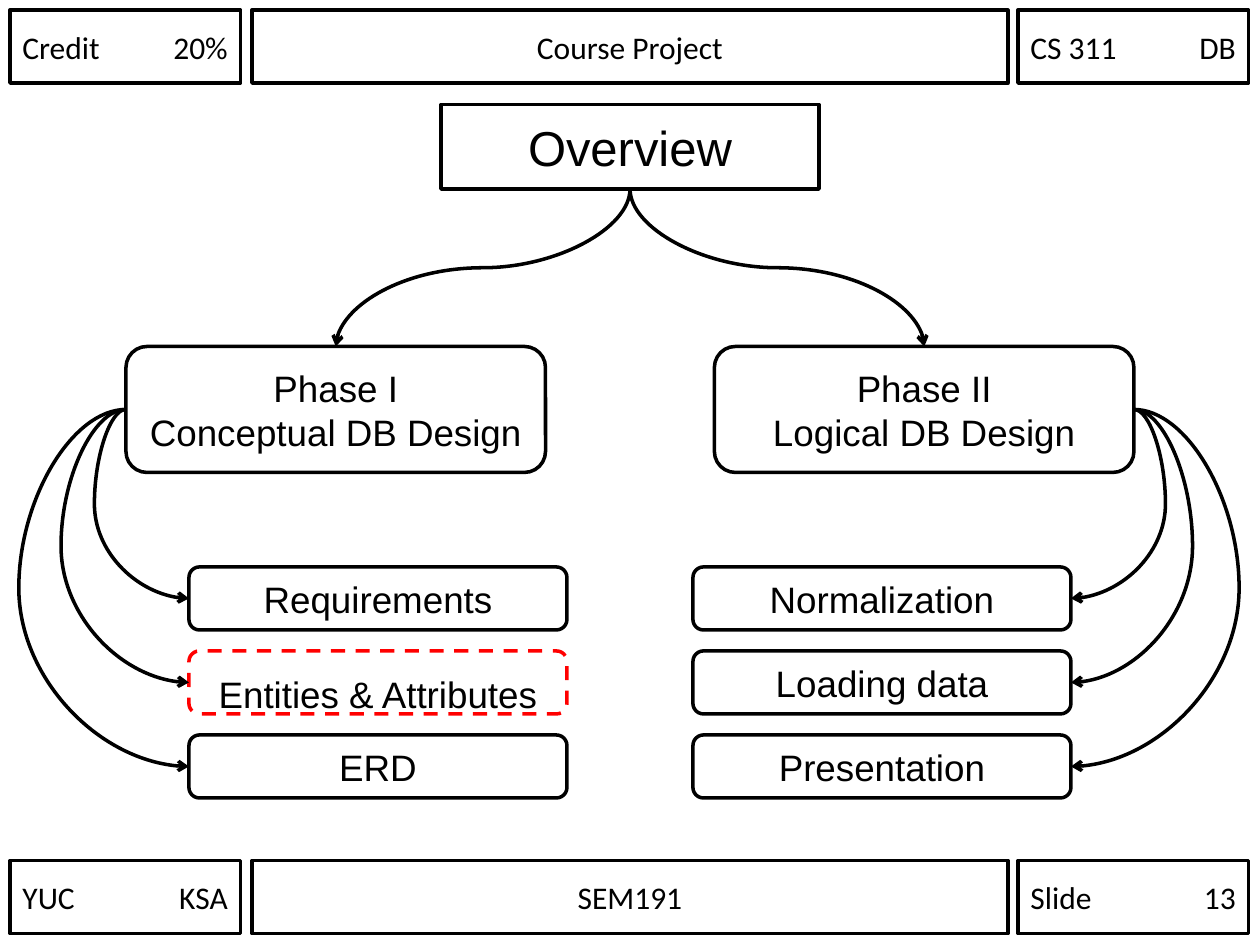
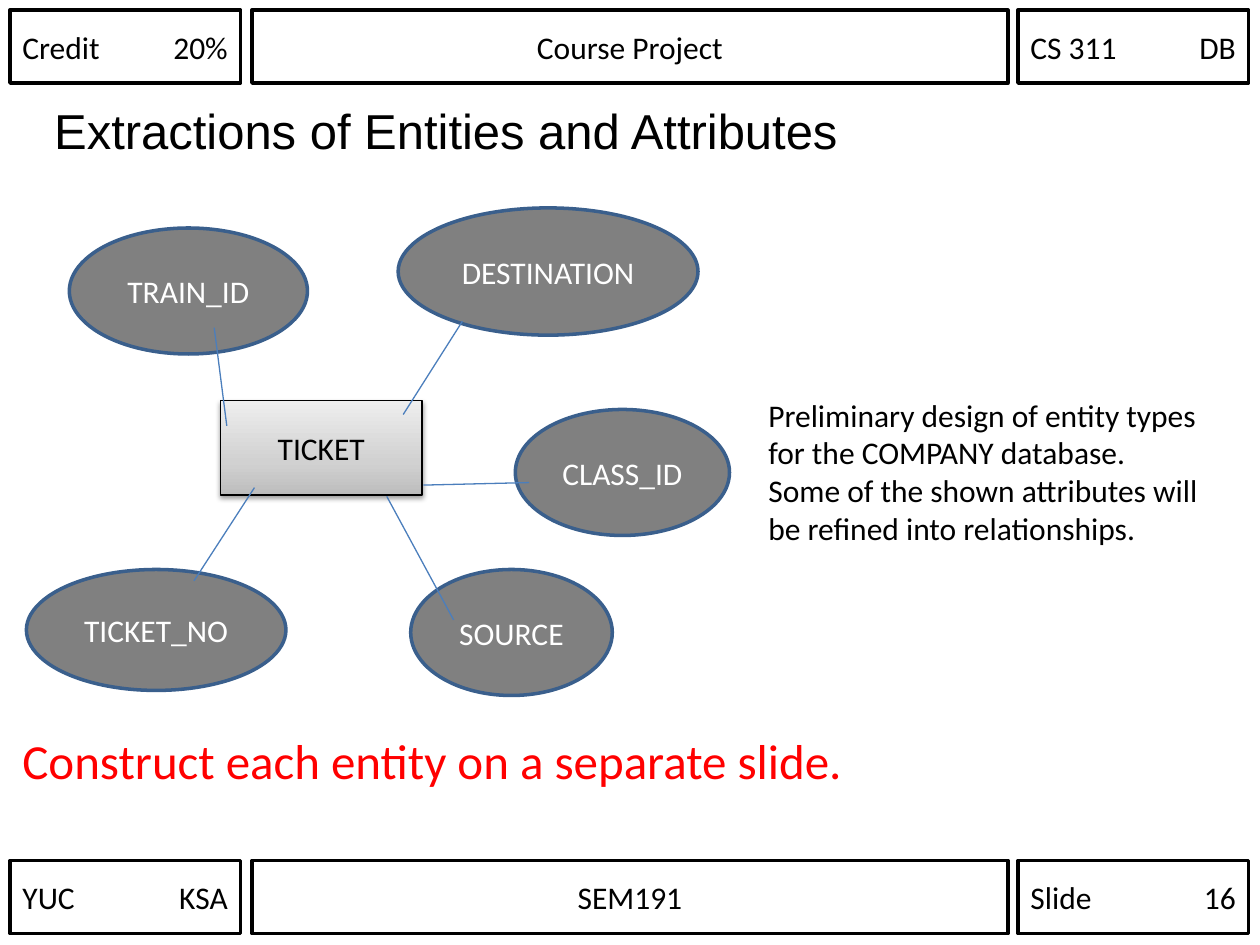
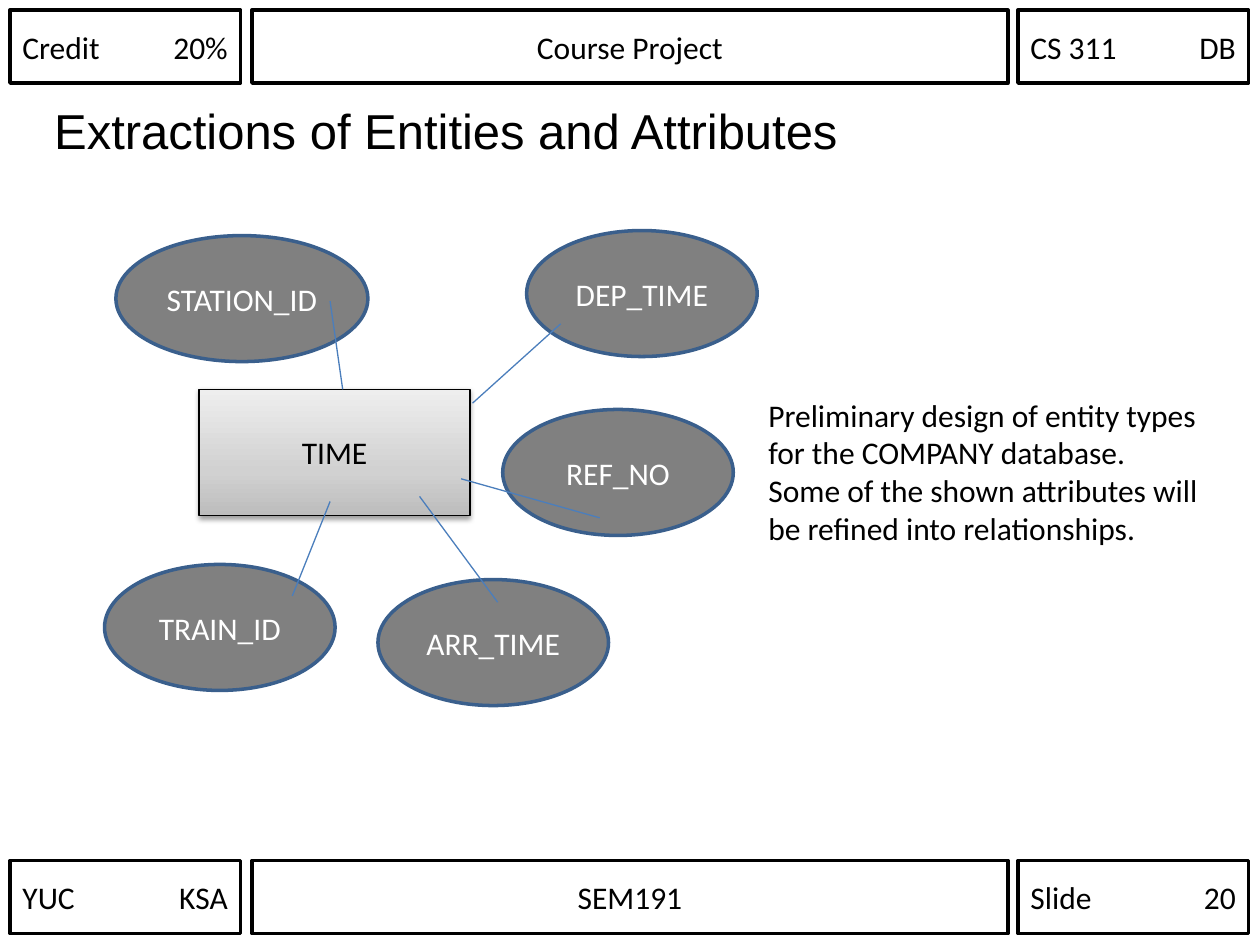
from dataclasses import dataclass
from typing import NamedTuple

from lxml.etree import SubElement as Sub
from pptx import Presentation
from pptx.dml.color import RGBColor as Rgb
from pptx.enum.dml import MSO_LINE as Dash
from pptx.enum.shapes import MSO_CONNECTOR as Link, MSO_SHAPE as Form
from pptx.enum.text import MSO_ANCHOR as Anchor, MSO_AUTO_SIZE as Fit, PP_ALIGN as Align
from pptx.oxml.ns import qn
from pptx.util import Inches, Pt


@dataclass(frozen=True)
class Theme:
    ink: str = "000000"
    pale: str = "FFFFFF"
    alert: str = "FF0000"
    oval: str = "808080"
    rim: str = "3A5F8C"
    link: str = "4B7EBC"
    fade: tuple = ((0, "BDBDBD"), (35, "D1D1D1"), (100, "EEEEEE"))
    head: str = "Arial"
    body: str = "Calibri"
    big: int = 28
    mid: int = 21
    small: int = 18
    thick: float = 2
    thin: float = 0.75


class Box(NamedTuple):
    x: float
    y: float
    w: float
    h: float

    def sub(self, x, y, w, h):
        return Box(self.x + x, self.y + y, w, h)

    def emu(self):
        return [Inches(v) for v in self]


T = Theme()
BODY = dict(name=T.body, size=T.small, color=T.ink)
HEAD = dict(name=T.head, size=T.big, color=T.ink)
NODE = HEAD | dict(size=T.mid)
LIGHT = BODY | dict(color=T.pale)
WARN = BODY | dict(size=T.big, color=T.alert)
MID = dict(alignment=Align.CENTER)
LEFT = dict(alignment=Align.LEFT)


def apply(obj, fmt):
    for key, val in fmt.items():
        if key == "color":
            obj.color.rgb = Rgb.from_string(val)
        elif key in ("size", "width"):
            setattr(obj, key, Pt(val))
        else:
            setattr(obj, key, val)


def write(shape, text, font, para=LEFT, anchor=Anchor.MIDDLE):
    frame = shape.text_frame
    frame.text = text
    apply(frame, dict(word_wrap=True, auto_size=Fit.NONE, vertical_anchor=anchor))
    for par in frame.paragraphs:
        apply(par, para)
        for run in par.runs:
            apply(run.font, font)


def draw(slide, form, box, text, font, para=MID, fill=None, line=T.ink, width=T.thick):
    shape = slide.shapes.add_shape(form, *box.emu())
    shape.shadow.inherit = False
    if fill:
        shape.fill.solid()
        shape.fill.fore_color.rgb = Rgb.from_string(fill)
    else:
        shape.fill.background()
    apply(shape.line, dict(color=line, width=width))
    write(shape, text, font, para)
    return shape


def note(slide, box, text, font):
    area = slide.shapes.add_textbox(*box.emu())
    write(area, text, font, anchor=Anchor.TOP)


def title(slide, box, text, para, anchor):
    head = slide.shapes.title
    head.left, head.top, head.width, head.height = box.emu()
    write(head, text, HEAD, para, anchor)
    return head


def wire(slide, kind, start, end, color, width):
    line = slide.shapes.add_connector(kind, *[Inches(v) for v in (*start, *end)])
    apply(line.line, dict(color=color, width=width))
    Sub(line.element.spPr, qn("a:effectLst"))
    return line


def curve(slide, start, end, tip, bend=0.5, turn=0):
    line = wire(slide, Link.CURVE, start, end, T.ink, T.thick)
    props = line.element.spPr
    if turn:
        props.find(qn("a:xfrm")).set("rot", str(turn * 60000))
    guides = props.find(qn("a:prstGeom")).find(qn("a:avLst"))
    Sub(guides, qn("a:gd"), name="adj1", fmla=f"val {round(bend * 100000)}")
    Sub(props.find(qn("a:ln")), qn(tip), type="arrow")


def drop(slide, start, end):
    (x1, y1), (x2, y2) = start, end
    mx, my = (x1 + x2) / 2, (y1 + y2) / 2
    half, side = (y2 - y1) / 2, abs(x2 - x1) / 2
    sign = 1 if x2 < x1 else -1
    curve(slide, (mx - sign * half, my - side), (mx + sign * half, my + side),
          "a:tailEnd", turn=90 if sign > 0 else 270)


def band(slide, box, left, mid, right):
    side, core = 1.83, 6
    parts = ((0, side, left), (1.92, core, mid), (8, side, right))
    for x, w, text in parts:
        split = "\t" in text
        cell = draw(slide, Form.RECTANGLE, box.sub(x, 0, w, box.h), text, BODY,
                    LEFT if split else MID)
        if split:
            props = cell.text_frame.paragraphs[0]._p.get_or_add_pPr()
            tabs = Sub(props, qn("a:tabLst"))
            Sub(tabs, qn("a:tab"), pos=str(int(Inches(1.63))), algn="r")


def frame(deck, num):
    slide = deck.slides.add_slide(deck.slide_layouts[5])
    band(slide, Box(0.08, 0.08, 9.83, 0.58), "Credit\t20%", "Course Project", "CS 311\tDB")
    band(slide, Box(0.08, 6.83, 9.83, 0.58), "YUC\tKSA", "SEM191", f"Slide\t{num}")
    return slide


def phase(slide, box, name, steps, bends, left, mark=None):
    wide, step = 3.33, 3
    near = 0 if left else box.w - wide
    top = box.sub(near, 0, wide, 1)
    draw(slide, Form.ROUNDED_RECTANGLE, top, name, NODE)
    inset = 0.5 if left else box.w - step - 0.5
    edge = 0 if left else 1
    for i, (text, bend) in enumerate(zip(steps, bends)):
        spot = box.sub(inset, 1.75 + i * 2 / 3, step, 0.5)
        node = draw(slide, Form.ROUNDED_RECTANGLE, spot, text, NODE)
        if text == mark:
            apply(node.line, dict(color=T.alert, dash_style=Dash.DASH))
            node.text_frame.paragraphs[0].line_spacing = 1.5
        curve(slide, (spot.x + edge * step, spot.y + spot.h / 2),
              (top.x + edge * top.w, top.y + top.h / 2), "a:headEnd", bend)
    return top.x + wide / 2, top.y


def overview(deck, num):
    slide = frame(deck, num)
    box = Box(3.5, 0.83, 3, 0.67)
    head = title(slide, box, "Overview", MID, Anchor.MIDDLE)
    props = head.element.spPr
    Sub(Sub(props, qn("a:prstGeom"), prst="roundRect"), qn("a:avLst"))
    apply(head.line, dict(color=T.ink, width=T.thick))
    ends = (
        phase(slide, Box(1, 2.75, 3.5, 3.58), "Phase I\nConceptual DB Design",
              ("Requirements", "Entities & Attributes", "ERD"),
              (1.5, 2.03, 2.7), True, "Entities & Attributes"),
        phase(slide, Box(5.5, 2.75, 3.5, 3.58), "Phase II\nLogical DB Design",
              ("Normalization", "Loading data", "Presentation"),
              (1.5, 1.93, 2.67), False),
    )
    for end in ends:
        drop(slide, (box.x + box.w / 2, box.y + box.h), end)


def entity(slide, box, text):
    shape = draw(slide, Form.RECTANGLE, box, text, BODY, width=T.thin)
    shape.fill.gradient()
    shape.fill.gradient_angle = 90
    props = shape.element.spPr
    stops = props.find(qn("a:gradFill")).find(qn("a:gsLst"))
    for old in list(stops):
        stops.remove(old)
    for pos, color in T.fade:
        stop = Sub(stops, qn("a:gs"), pos=str(pos * 1000))
        Sub(stop, qn("a:srgbClr"), val=color)
    shade = Sub(props.find(qn("a:effectLst")), qn("a:outerShdw"), blurRad=str(int(Pt(3.1))),
                dist=str(int(Pt(1.6))), dir="5400000", rotWithShape="0")
    tint = Sub(shade, qn("a:srgbClr"), val=T.ink)
    Sub(tint, qn("a:alpha"), val="38000")


def web(slide, box, name, core, ovals, links):
    entity(slide, box.sub(*core), name)
    for text, *spot in ovals:
        draw(slide, Form.OVAL, box.sub(*spot), text, LIGHT, fill=T.oval, line=T.rim)
    for x1, y1, x2, y2 in links:
        wire(slide, Link.STRAIGHT, (box.x + x1, box.y + y1), (box.x + x2, box.y + y2),
             T.link, T.thin)


def extract(deck, num, name, core, ovals, links, task=None):
    slide = frame(deck, num)
    title(slide, Box(0.33, 0.75, 9.33, 0.75), "Extractions of Entities and Attributes",
          LEFT | dict(space_before=Pt(3.5)), Anchor.TOP)
    note(slide, Box(6, 3.09, 3.67, 1.31),
         "Preliminary design of entity types for the COMPANY database.  "
         "Some of the shown attributes will be refined into relationships.", BODY)
    if task:
        note(slide, Box(0.08, 5.75, 9.83, 0.57), task, WARN)
    web(slide, Box(0, 1.5, 6, 4.2), name, core, ovals, links)


deck = Presentation()
deck.slide_width, deck.slide_height = Inches(10), Inches(7.5)

overview(deck, 13)
extract(
    deck, 16, "TICKET", (1.75, 1.68, 1.6, 0.75),
    (("TRAIN_ID", 0.55, 0.31, 1.89, 1),
     ("TICKET_NO", 0.21, 3.02, 2.06, 0.96),
     ("SOURCE", 3.26, 3.02, 1.6, 1),
     ("DESTINATION", 3.16, 0.15, 2.38, 1.01),
     ("CLASS_ID", 4.09, 1.75, 1.7, 1)),
    ((3.2, 1.79, 3.67, 1.05), (1.8, 1.88, 1.7, 1.1), (1.54, 3.11, 2.02, 2.37),
     (3.6, 3.42, 3.07, 2.44), (3.36, 2.35, 4.2, 2.33)),
    "Construct each entity on a separate slide.")
extract(
    deck, 20, "TIME", (1.58, 1.59, 2.15, 1),
    (("STATION_ID", 0.92, 0.37, 2, 1),
     ("TRAIN_ID", 0.83, 2.98, 1.83, 1),
     ("ARR_TIME", 3, 3.1, 1.83, 1),
     ("DEP_TIME", 4.18, 0.33, 1.83, 1),
     ("REF_NO", 3.99, 1.75, 1.83, 1)),
    ((3.33, 2.44, 3.95, 3.28), (2.62, 0.89, 2.72, 1.59), (3.75, 1.7, 4.45, 1.07),
     (2.62, 2.48, 2.32, 3.23), (3.66, 2.3, 4.76, 2.61)))

deck.save("out.pptx")
